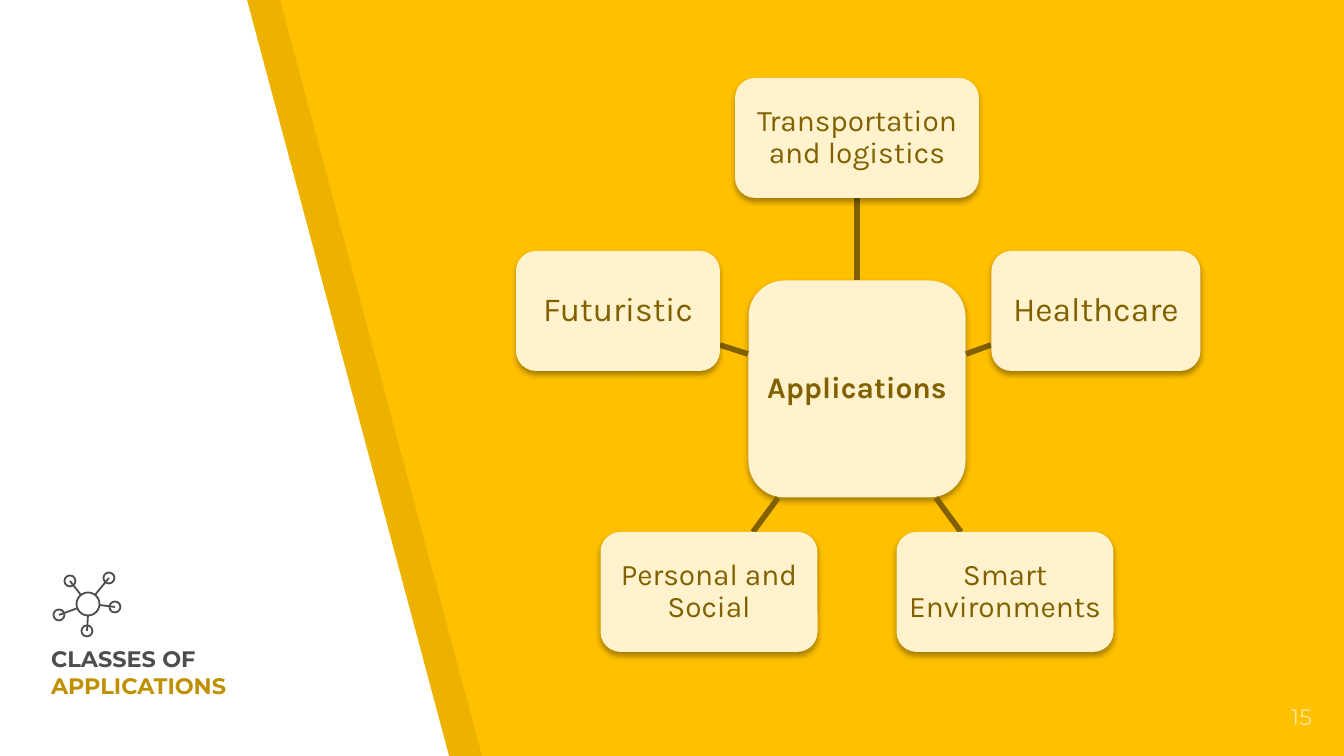
"""Build the slide that maps the classes of applications around a hub."""
import math

import lxml.etree
import pptx
import pptx.dml.color
import pptx.enum.shapes
import pptx.enum.text
import pptx.oxml.ns
import pptx.util

RGBColor = pptx.dml.color.RGBColor
AMBER = RGBColor(0xFF, 0xC0, 0x00)
CREAM = RGBColor(0xFF, 0xF2, 0xCC)
PALE = RGBColor(0xFF, 0xE6, 0x99)
GOLD = RGBColor(0xBF, 0x90, 0x00)
BROWN = RGBColor(0x80, 0x60, 0x00)
GREY = RGBColor(0x4D, 0x4D, 0x4D)
WHITE = RGBColor(0xFF, 0xFF, 0xFF)
BLACK = RGBColor(0x00, 0x00, 0x00)

WIDTH, HEIGHT = 1344, 756
SCALE = 9144000 / WIDTH
HUB_X, HUB_Y, HUB_SIZE = 857, 389, 217
ORBIT, TOPIC_HEIGHT = 251, 120
TOPICS = [
    ("Transportation and logistics", 244, 16),
    ("Healthcare", 209, 18),
    ("Smart Environments", 217, 16),
    ("Personal and Social", 217, 16),
    ("Futuristic", 204, 18),
]
ICON_X, ICON_Y, ICON_RADIUS = 88, 604, 11
ICON_NODES = [(109, 578), (70, 581), (59, 615), (87, 631), (115, 607)]


def emu(px):
    return pptx.util.Emu(round(px * SCALE))


def qn(tag):
    return pptx.oxml.ns.qn(tag)


def edge_reach(width, height, angle):
    """Return the distance from a box's centre to its edge at an angle."""
    across, down = abs(math.sin(angle)), abs(math.cos(angle))
    return min(width / 2 / max(across, 1e-9), height / 2 / max(down, 1e-9))


class SlideBuilder:
    """Draw styled elements on the current slide."""

    shape_types = pptx.enum.shapes.MSO_SHAPE
    anchors = pptx.enum.text.MSO_ANCHOR
    alignments = pptx.enum.text.PP_ALIGN

    def __init__(self, slide):
        self.slide = slide
        self.shapes = slide.shapes

    def background(self, color):
        self.slide.background.fill.solid()
        self.slide.background.fill.fore_color.rgb = color

    def panel(self, points, color, opacity=100):
        outline = self.shapes.build_freeform(*points[0], scale=SCALE)
        outline.add_line_segments(points[1:], close=True)
        panel = outline.convert_to_shape()
        panel.shadow.inherit = False
        panel.fill.solid()
        panel.fill.fore_color.rgb = color
        panel.line.fill.background()
        if opacity < 100:
            tint = panel.element.spPr.find(".//" + qn("a:srgbClr"))
            lxml.etree.SubElement(tint, qn("a:alpha"), val=str(opacity * 1000))

    def line(self, start, end, color, points):
        line = self.shapes.add_connector(
            pptx.enum.shapes.MSO_CONNECTOR.STRAIGHT, *map(emu, (*start, *end)))
        line.line.color.rgb = color
        line.line.width = pptx.util.Pt(points)
        lxml.etree.SubElement(line.element.spPr, qn("a:effectLst"))

    def ring(self, x, y, size):
        ring = self.shapes.add_shape(
            self.shape_types.OVAL, emu(x - size / 2), emu(y - size / 2), emu(size), emu(size))
        ring.shadow.inherit = False
        ring.fill.background()
        ring.line.color.rgb = GREY
        ring.line.width = pptx.util.Pt(0.96)

    def card(self, x, y, width, height, label, size, bold=False):
        card = self.shapes.add_shape(
            self.shape_types.ROUNDED_RECTANGLE,
            emu(x - width / 2), emu(y - height / 2), emu(width), emu(height))
        card.fill.solid()
        card.fill.fore_color.rgb = CREAM
        card.line.fill.background()
        self.drop_shadow(card)
        self.fill_frame(card.text_frame, [(label, BROWN)], "Karla", size, bold,
                        self.alignments.CENTER, self.anchors.MIDDLE, 5)
        card.text_frame.paragraphs[0].line_spacing = 0.9

    def drop_shadow(self, shape):
        shape.shadow.inherit = False
        effects = shape.element.spPr.find(qn("a:effectLst"))
        shadow = lxml.etree.SubElement(
            effects, qn("a:outerShdw"), blurRad="40000", dist="23000",
            dir="5400000", rotWithShape="0")
        tint = lxml.etree.SubElement(shadow, qn("a:srgbClr"), val=str(BLACK))
        lxml.etree.SubElement(tint, qn("a:alpha"), val="35000")

    def text(self, x, y, width, height, pieces, bold, align, anchor):
        box = self.shapes.add_textbox(*map(emu, (x, y, width, height)))
        self.fill_frame(box.text_frame, pieces, "Montserrat", 12, bold, align, anchor, 13)

    def fill_frame(self, frame, pieces, font, size, bold, align, anchor, inset):
        frame.word_wrap = True
        frame.vertical_anchor = anchor
        frame.margin_left = frame.margin_right = emu(inset)
        frame.margin_top = frame.margin_bottom = emu(inset)
        paragraph = frame.paragraphs[0]
        paragraph.alignment = align
        for words, color in pieces:
            run = paragraph.add_run()
            run.text = words
            run.font.name = font
            run.font.size = pptx.util.Pt(size)
            run.font.bold = bold
            run.font.color.rgb = color


def draw_applications(builder):
    builder.card(HUB_X, HUB_Y, HUB_SIZE, HUB_SIZE, "Applications", 16, bold=True)
    for index, (label, width, size) in enumerate(TOPICS):
        angle = math.tau * index / len(TOPICS)

        def along(distance):
            return (round(HUB_X + distance * math.sin(angle)),
                    round(HUB_Y - distance * math.cos(angle)))

        builder.line(along(edge_reach(HUB_SIZE, HUB_SIZE, angle)),
                     along(ORBIT - edge_reach(width, TOPIC_HEIGHT, angle)), BROWN, 3)
        builder.card(*along(ORBIT), width, TOPIC_HEIGHT, label, size)


def draw_network_icon(builder):
    builder.ring(ICON_X, ICON_Y, 2 * ICON_RADIUS + 1)
    for x, y in ICON_NODES:
        builder.ring(x, y, 11)
        share = ICON_RADIUS / math.dist((x, y), (ICON_X, ICON_Y))
        rim = (round(ICON_X + (x - ICON_X) * share), round(ICON_Y + (y - ICON_Y) * share))
        builder.line((x, y), rim, GREY, 0.96)


def main():
    deck = pptx.Presentation()
    deck.slide_width, deck.slide_height = emu(WIDTH), emu(HEIGHT)
    builder = SlideBuilder(deck.slides.add_slide(deck.slide_layouts[6]))
    builder.background(AMBER)
    for offset, color, opacity in [(33, BLACK, 7), (0, WHITE, 100)]:
        builder.panel([(offset, 0), (offset, HEIGHT), (449 + offset, HEIGHT),
                       (247 + offset, 0)], color, opacity)
    builder.text(38, 641, 290, 71, [("CLASSES OF ", GREY), ("APPLICATIONS", GOLD)],
                 True, builder.alignments.LEFT, builder.anchors.BOTTOM)
    builder.text(1245, 690, 80, 58, [("15", PALE)],
                 False, builder.alignments.RIGHT, builder.anchors.TOP)
    draw_applications(builder)
    draw_network_icon(builder)
    deck.save("out.pptx")


if __name__ == "__main__":
    main()
